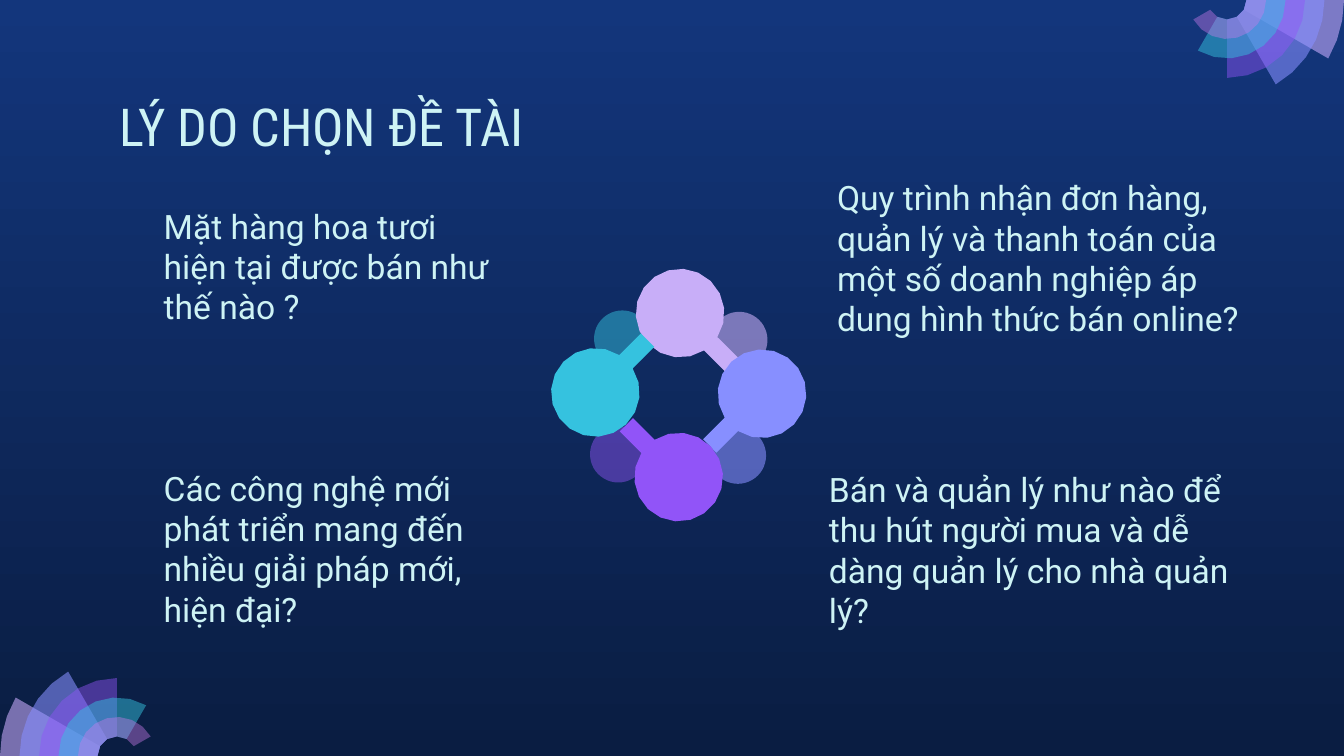
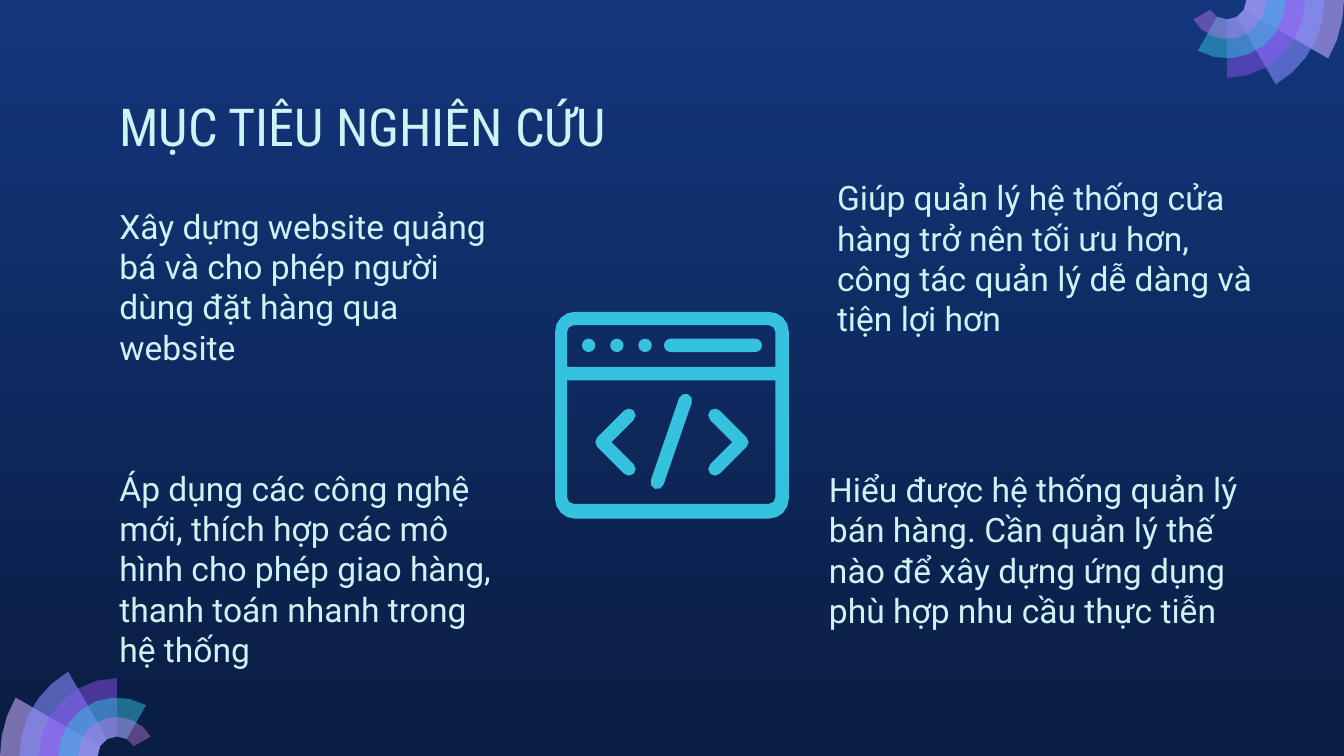
import math

import pptx
import pptx.dml.color
import pptx.enum.shapes
import pptx.enum.text
import pptx.oxml
import pptx.oxml.ns
import pptx.util

Inches = pptx.util.Inches
Kind = pptx.enum.shapes.MSO_SHAPE

# Shared look
WIDE = 10
HIGH = WIDE * 9 / 16
TEAL, LILAC, BLUE, PLUM, PINK = "35C2DF", "C8AEF8", "878FFF", "9154F8", "CA7BEB"
INK = "CEF3F5"
SKY = ("13367C", "0A1D42")
TITLE = {"size": pptx.util.Pt(28), "name": "Roboto Condensed"}
BODY = {"size": pptx.util.Pt(18), "name": "Roboto"}
PAD = Inches(0.1)
FRAME = {
    "word_wrap": True,
    "vertical_anchor": pptx.enum.text.MSO_ANCHOR.TOP,
    "margin_left": PAD,
    "margin_right": PAD,
    "margin_top": PAD,
    "margin_bottom": PAD,
}
# Fan blades from the widest to the smallest: colour, opacity
BLADES = [("C8ACFD", 58), (BLUE, 58), (PLUM, 46), (TEAL, 49), (PINK, 42)]
REACH = 0.87
RING = REACH / 6


def color(code):
    return pptx.dml.color.RGBColor.from_string(code)


def apply(thing, values):
    for key, value in values.items():
        setattr(thing, key, value)


# Basic elements
def paint(shape, code, alpha=100):
    shape.shadow.inherit = False
    shape.fill.solid()
    shape.fill.fore_color.rgb = color(code)
    shape.line.fill.background()
    if alpha < 100:
        tone = shape.fill._xPr.find(".//" + pptx.oxml.ns.qn("a:srgbClr"))
        node = pptx.oxml.parse_xml(
            f'<a:alpha {pptx.oxml.ns.nsdecls("a")} val="{alpha * 1000}"/>')
        tone.append(node)


def text(slide, words, box, font):
    frame = slide.shapes.add_textbox(*map(Inches, box)).text_frame
    apply(frame, FRAME)
    run = frame.paragraphs[0].add_run()
    run.text = words
    apply(run.font, font)
    run.font.color.rgb = color(INK)


def arc(x, y, r, start, end):
    """Few points on a circle; degrees run clockwise from the right."""
    if r == 0:
        return [(x, y)]
    widest = math.degrees(2 * math.acos(1 - 0.01 / (2 * r)))
    steps = math.ceil(abs(end - start) / widest)
    turns = [math.radians(start + (end - start) * i / steps)
             for i in range(steps + 1)]
    return [(x + r * math.cos(t), y + r * math.sin(t)) for t in turns]


def form(shapes, loops, code, alpha=100):
    """Fill one or more closed outlines; inner loops become holes."""
    build = None
    for loop in loops:
        dots = [(Inches(x), Inches(y)) for x, y in loop]
        if build is None:
            build = shapes.build_freeform(*dots[0])
        else:
            build.move_to(*dots[0])
        build.add_line_segments(dots[1:], close=True)
    paint(build.convert_to_shape(), code, alpha)


def disc(shapes, x, y, r, code, alpha=100):
    box = map(Inches, (x - r, y - r, 2 * r, 2 * r))
    paint(shapes.add_shape(Kind.OVAL, *box), code, alpha)


# Corner fans
def fan(slide, x, y, start):
    group = slide.shapes.add_group_shape().shapes
    for i, (code, alpha) in enumerate(BLADES):
        end = start + 30 * (i + 1)
        rim = arc(x, y, RING * (6 - i), start, end)
        hub = arc(x, y, RING, end, start)
        form(group, [rim + hub], code, alpha)


# Ring of four linked knobs
def knob(shapes, x, y, turn, code):
    """A disc with an arm that points along the angle turn."""
    size, half, reach = 0.33, 0.07, 0.55
    gap = math.degrees(math.asin(half / size))
    rim = arc(x, y, size, turn + gap, turn + 360 - gap)
    way = math.radians(turn)
    dx, dy = math.cos(way), math.sin(way)
    end = [(x + reach * dx - side * dy, y + reach * dy + side * dx)
           for side in (-half, half)]
    form(shapes, [rim + end], code)


def wheel(slide):
    for x, y, code, alpha in [
        (4.63, 2.52, TEAL, 49),
        (5.5, 2.53, LILAC, 59),
        (5.49, 3.39, BLUE, 58),
        (4.6, 3.38, PLUM, 46),
    ]:
        disc(slide.shapes, x, y, 0.21, code, alpha)
    knobs = [(5.06, 2.33, LILAC), (5.67, 2.93, BLUE),
             (5.05, 3.55, PLUM), (4.43, 2.92, TEAL)]
    for i, (x, y, code) in enumerate(knobs):
        knob(slide.shapes, x, y, 45 + 90 * i, code)


# Browser window with a code sign
def panel(left, top, right, low, head, foot):
    """Rectangle outline with one radius above and one below."""
    return (arc(left + head, top + head, head, 180, 270)
            + arc(right - head, top + head, head, 270, 360)
            + arc(right - foot, low - foot, foot, 0, 90)
            + arc(left + foot, low - foot, foot, 90, 180))


def angle(shapes, x, side):
    """Chevron whose point faces right (side 1) or left (side -1)."""
    r, arm, y = 0.05, 0.2, 3.29
    loop = (arc(-arm, -arm, r, 135, 315) + arc(0, 0, r, -45, 45)
            + arc(-arm, arm, r, 45, 225) + [(-r * math.sqrt(2), 0)])
    form(shapes, [[(x + side * a, y + b) for a, b in loop]], TEAL)


def window(slide):
    group = slide.shapes.add_group_shape().shapes
    form(group, [
        panel(4.13, 2.32, 5.87, 3.86, 0.15, 0.15),
        panel(4.22, 2.42, 5.77, 2.73, 0.05, 0)[::-1],
        panel(4.22, 2.83, 5.77, 3.75, 0, 0.05)[::-1],
    ], TEAL)
    for i in range(3):
        disc(group, 4.38 + 0.21 * i, 2.57, 0.05, TEAL)
    bar = group.add_shape(
        Kind.ROUNDED_RECTANGLE, *map(Inches, (4.94, 2.52, 0.73, 0.1)))
    bar.adjustments[0] = 0.5
    paint(bar, TEAL)
    angle(group, 5.52, 1)
    angle(group, 4.48, -1)
    slash = arc(5.1, 2.98, 0.05, 199, 379) + arc(4.89, 3.59, 0.05, 19, 199)
    form(group, [slash], TEAL)


# Slide frame
def page(deck, title, notes, left, width):
    slide = deck.slides.add_slide(deck.slide_layouts[6])
    fan(slide, REACH, HIGH, 180)
    fan(slide, WIDE - REACH, 0, 0)
    text(slide, title, (0.79, 0.6, 8.43, 0.63), TITLE)
    spots = [(left, 1.43, width, 1.34), (left, 3.38, width, 1.46),
             (6.13, 1.22, 3.34, 1.46), (6.07, 3.39, 3.46, 1.46)]
    for words, box in zip(notes, spots):
        text(slide, words, box, BODY)
    return slide


def main():
    deck = pptx.Presentation()
    apply(deck, {"slide_width": Inches(WIDE), "slide_height": Inches(HIGH)})
    fill = deck.slide_master.background.fill
    fill.gradient()
    fill.gradient_angle = 270
    for stop, code in zip(fill.gradient_stops, SKY):
        stop.color.rgb = color(code)

    # Reasons
    wheel(page(deck, "LÝ DO CHỌN ĐỀ TÀI", [
        "Mặt hàng hoa tươi hiện tại được bán như thế nào ?",
        "Các công nghệ mới phát triển mang đến nhiều giải pháp mới, hiện đại?",
        "Quy trình nhận đơn hàng, quản lý và thanh toán của một số doanh "
        "nghiệp áp dung hình thức bán online?",
        "Bán và quản lý như nào để thu hút người mua và dễ dàng quản lý cho "
        "nhà quản lý?",
    ], 1.12, 2.63))

    # Goals
    window(page(deck, "MỤC TIÊU NGHIÊN CỨU", [
        "Xây dựng website quảng bá và cho phép người dùng đặt hàng qua website",
        "Áp dụng các công nghệ mới, thích hợp các mô hình cho phép giao hàng, "
        "thanh toán nhanh trong hệ thống",
        "Giúp quản lý hệ thống cửa hàng trở nên tối ưu hơn, công tác quản lý "
        "dễ dàng và tiện lợi hơn",
        "Hiểu được hệ thống quản lý bán hàng. Cần quản lý thế nào để xây dựng "
        "ứng dụng phù hợp nhu cầu thực tiễn",
    ], 0.79, 2.97))
    deck.save("out.pptx")


if __name__ == "__main__":
    main()
